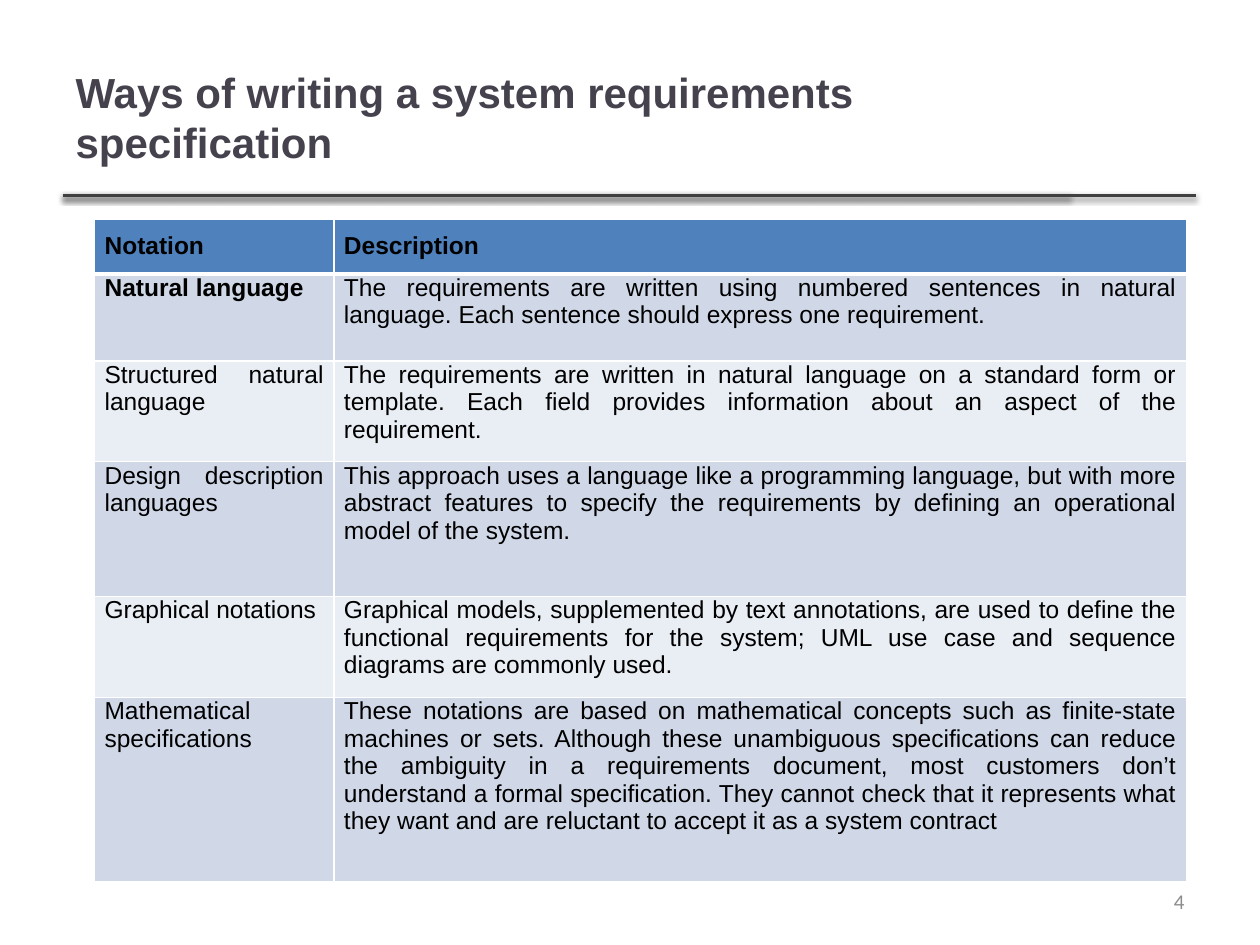
from lxml import etree
from pptx import Presentation
from pptx.dml.color import RGBColor
from pptx.enum import shapes, text
from pptx.oxml import parse_xml
from pptx.oxml.ns import nsdecls, qn
from pptx.util import Inches, Pt

TITLE = RGBColor(0x46, 0x42, 0x4D)
RULE = RGBColor(0x40, 0x40, 0x40)
GREY = RGBColor(0x8C, 0x8C, 0x8C)
BLACK = RGBColor(0, 0, 0)
HEADER = RGBColor(0x4F, 0x81, 0xBD)
BANDS = [RGBColor(0xE9, 0xED, 0xF4), RGBColor(0xD0, 0xD8, 0xE8)]

COL_WIDTHS = [1.9, 6.77]
ROW_HEIGHTS = [0.4, 0.69, 0.69, 1.07, 0.69, 1.46]
ROWS = [
    ("Notation", "Description"),
    ("Natural language",
     "The requirements are written using numbered sentences in natural language. "
     "Each sentence should express one requirement."),
    ("Structured natural language ",
     "The requirements are written in natural language on a standard form or template. "
     "Each field provides information about an aspect of the requirement."),
    ("Design description languages",
     "This approach uses a language like a programming language, but with more abstract "
     "features to specify the requirements by defining an operational model of the system. "),
    ("Graphical notations",
     "Graphical models, supplemented by text annotations, are used to define the functional "
     "requirements for the system; UML use case and sequence diagrams are commonly used."),
    ("Mathematical specifications",
     "These notations are based on mathematical concepts such as finite-state machines or "
     "sets. Although these unambiguous specifications can reduce the ambiguity in a "
     "requirements document, most customers don’t understand a formal specification. They "
     "cannot check that it represents what they want and are reluctant to accept it as a "
     "system contract"),
]


def add_run(p, words, size, color, font="Arial", bold=False):
    r = p.add_run()
    r.text = words
    r.font.name, r.font.size, r.font.bold = font, Pt(size), bold
    r.font.color.rgb = color


def set_title(s, words):
    sp = s.shapes.title
    sp.left, sp.top, sp.width, sp.height = map(Inches, (0.5, 0.3, 7.98, 1.25))
    tf = sp.text_frame
    tf.word_wrap = True
    tf.auto_size = text.MSO_AUTO_SIZE.NONE
    tf.vertical_anchor = text.MSO_ANCHOR.MIDDLE
    p = tf.paragraphs[0]
    p.alignment = text.PP_ALIGN.LEFT
    add_run(p, words, 24, TITLE, bold=True)


def add_rule(s, right):
    """Horizontal line under the title, with a soft shadow below it."""
    line = s.shapes.add_connector(shapes.MSO_CONNECTOR.STRAIGHT, Inches(0.5), Inches(1.55),
                                  Inches(right), Inches(1.55))
    line.line.color.rgb = RULE
    line.line.width = Pt(2)
    line._element.spPr.append(parse_xml(
        f'<a:effectLst {nsdecls("a")}><a:outerShdw blurRad="{Pt(3.1)}" dist="{Pt(1.6)}" '
        'dir="5400000" rotWithShape="0"><a:srgbClr val="000000"><a:alpha val="38000"/>'
        '</a:srgbClr></a:outerShdw></a:effectLst>'))


def add_page_number(s, number):
    sp = s.shapes.add_textbox(Inches(7.17), Inches(6.95), Inches(2.33), Inches(0.4))
    tf = sp.text_frame
    tf.word_wrap = True
    tf.vertical_anchor = text.MSO_ANCHOR.MIDDLE
    p = tf.paragraphs[0]
    p.alignment = text.PP_ALIGN.RIGHT
    add_run(p, number, 12, GREY, font="Calibri")


def set_borders(cell, top, bottom):
    """White borders; top and bottom are widths in points."""
    tcPr = cell._tc.get_or_add_tcPr()
    for side, width in (("L", 1), ("R", 1), ("T", top), ("B", bottom)):
        ln = etree.SubElement(tcPr, qn(f"a:ln{side}"), w=str(Pt(width)))
        fill = etree.SubElement(ln, qn("a:solidFill"))
        etree.SubElement(fill, qn("a:srgbClr"), val="FFFFFF")


def fill_cell(cell, words, row, col):
    header = row == 0
    set_borders(cell, top=3 if row == 1 else 1, bottom=3 if header else 1)
    cell.fill.solid()
    cell.fill.fore_color.rgb = HEADER if header else BANDS[row % 2]
    cell.margin_left = cell.margin_right = Inches(0.08)
    cell.margin_top = Inches(0.1 if header else 0)
    cell.margin_bottom = Inches(0.1)
    p = cell.text_frame.paragraphs[0]
    p.alignment = text.PP_ALIGN.LEFT if header and col == 0 else text.PP_ALIGN.JUSTIFY
    add_run(p, words, 14, BLACK, bold=header or (row, col) == (1, 0))


def add_notation_table(s):
    table = s.shapes.add_table(len(ROWS), len(COL_WIDTHS), Inches(0.75), Inches(1.74),
                               Inches(sum(COL_WIDTHS)), Inches(sum(ROW_HEIGHTS))).table
    for column, width in zip(table.columns, COL_WIDTHS):
        column.width = Inches(width)
    for i, (height, words) in enumerate(zip(ROW_HEIGHTS, ROWS)):
        table.rows[i].height = Inches(height)
        for j, entry in enumerate(words):
            fill_cell(table.cell(i, j), entry, i, j)


def main():
    prs = Presentation()
    prs.slide_width, prs.slide_height = Inches(10), Inches(7.5)
    s = prs.slides.add_slide(prs.slide_layouts[5])
    for right in (8.49, 9.49):
        add_rule(s, right)
    set_title(s, "Ways of writing a system requirements specification")
    add_page_number(s, "4")
    add_notation_table(s)
    prs.save("out.pptx")


if __name__ == "__main__":
    main()
